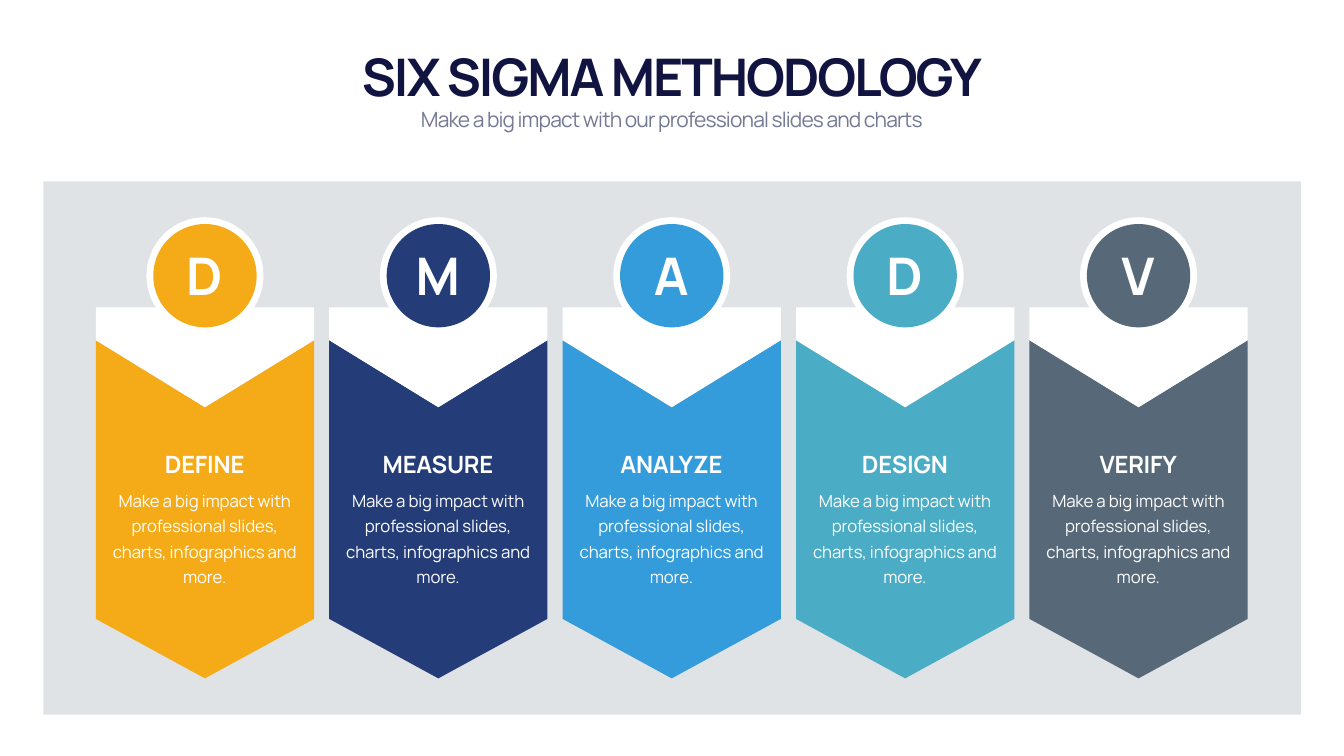
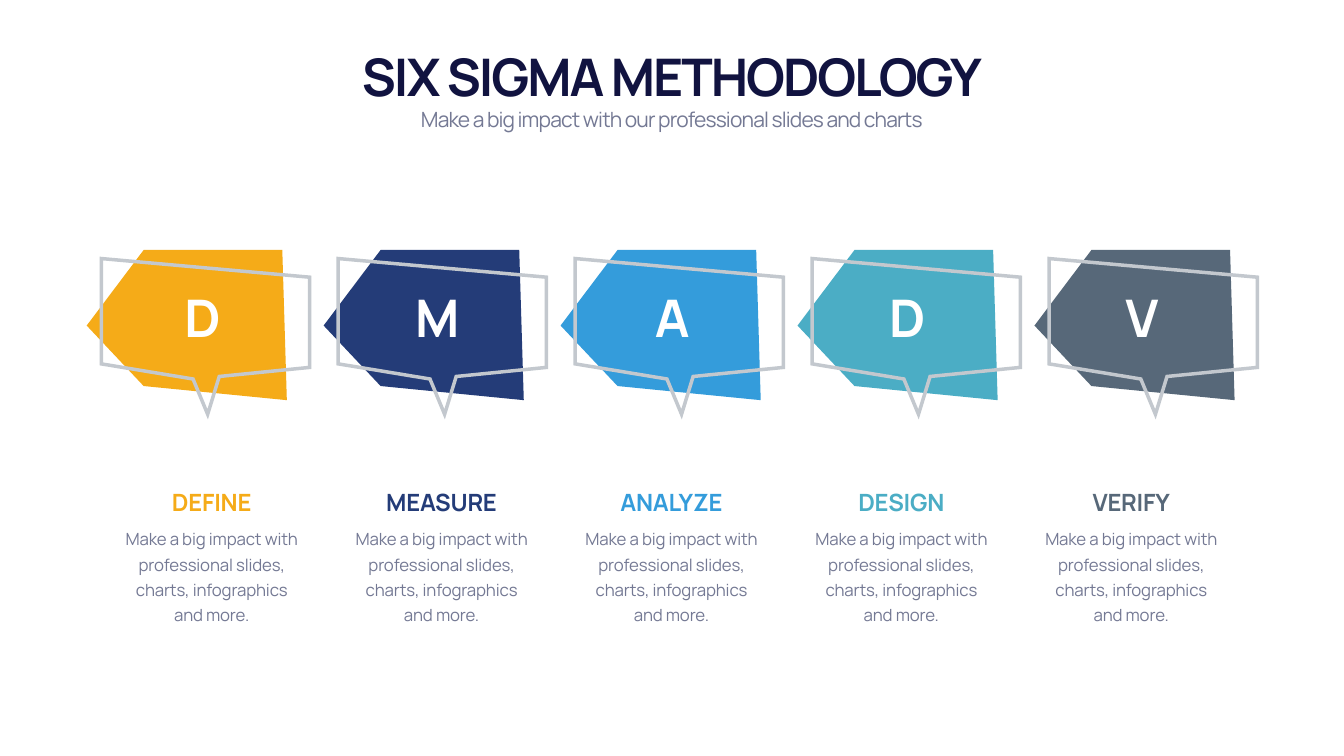
import lxml.etree
import pptx
import pptx.dml.color
import pptx.enum.shapes
import pptx.enum.text
import pptx.oxml.ns
import pptx.util

COLUMNS, ROWS = 26.66, 15
FONT = "Manrope"
COLORS = {
    "title": "111340",
    "muted": "747994",
    "gray": "C3C8CE",
    "white": "FFFFFF",
    "orange": "F5AB18",
    "navy": "243C78",
    "blue": "349CDB",
    "teal": "4BADC5",
    "slate": "576879",
}
STEPS = [
    ("DEFINE", "D", "orange"),
    ("MEASURE", "M", "navy"),
    ("ANALYZE", "A", "blue"),
    ("DESIGN", "D", "teal"),
    ("VERIFY", "V", "slate"),
]
BODY = "Make a big impact with professional slides, charts, infographics and more."

RIBBON = [(0, 0.65), (2.165, 1.98), (4.33, 0.65), (4.33, 6.18), (2.165, 7.36), (0, 6.18)]
NOTCH = [(0, 0), (4.33, 0), (4.33, 0.65), (2.165, 1.98), (0, 0.65)]
TAG = [(1.13, 0), (0, 1.5), (1.13, 2.7), (3.97, 2.98), (3.88, 0)]
CALLOUT = [(0, 0), (0, 2.09), (1.82, 2.39), (2.11, 3.09), (2.34, 2.34), (4.13, 2.16), (4.13, 0.37)]


def rgb(color):
    return pptx.dml.color.RGBColor.from_string(COLORS[color])


def add_element(parent, tag, **attributes):
    return lxml.etree.SubElement(parent, pptx.oxml.ns.qn(tag), attributes)


def write_text(frame, text, size, color, bold=False, spacing=0, leading=None, anchor="TOP"):
    frame.word_wrap = True
    frame.auto_size = pptx.enum.text.MSO_AUTO_SIZE.SHAPE_TO_FIT_TEXT
    frame.vertical_anchor = pptx.enum.text.MSO_ANCHOR[anchor]
    para = frame.paragraphs[0]
    para.alignment = pptx.enum.text.PP_ALIGN.CENTER
    if leading:
        para.line_spacing = pptx.util.Pt(leading)
    span = para.add_run()
    span.text = text
    span.font.name = FONT
    span.font.size = pptx.util.Pt(size)
    span.font.bold = bold
    span.font.color.rgb = rgb(color)
    span.font._element.set("spc", str(round(spacing * 100)))


class Slides:
    def __init__(self):
        self.deck = pptx.Presentation()
        self.deck.slide_width = pptx.util.Inches(COLUMNS)
        self.deck.slide_height = pptx.util.Inches(ROWS)
        self.page = None

    def x(self, columns):
        return round(self.deck.slide_width * columns / COLUMNS)

    def y(self, rows):
        return round(self.deck.slide_height * rows / ROWS)

    def area(self, left, top, width, height):
        return self.x(left), self.y(top), self.x(width), self.y(height)

    def new_page(self):
        self.page = self.deck.slides.add_slide(self.deck.slide_layouts[6])
        self.text("SIX SIGMA METHODOLOGY", 1.66, 0.82, 23.33, 1.35,
                  size=74, color="title", bold=True, spacing=-2.9, anchor="BOTTOM")
        self.text("Make a big impact with our professional slides and charts",
                  1.66, 2.07, 23.33, 0.61, size=30, color="muted", spacing=-1.2)

    def text(self, text, left, top, width, height, **style):
        box = self.page.shapes.add_textbox(*self.area(left, top, width, height))
        write_text(box.text_frame, text, **style)

    def paint(self, shape, fill=None, line=None, line_width=5):
        shape.shadow.inherit = False
        if fill:
            shape.fill.solid()
            shape.fill.fore_color.rgb = rgb(fill)
        else:
            shape.fill.background()
        if line:
            shape.line.color.rgb = rgb(line)
            shape.line.width = pptx.util.Pt(line_width)
            add_element(shape.line._get_or_add_ln(), "a:miter", lim="800000")
        else:
            shape.line.fill.background()

    def panel(self, left, top, width, height, fill, opacity):
        shape = self.page.shapes.add_shape(
            pptx.enum.shapes.MSO_SHAPE.RECTANGLE, *self.area(left, top, width, height))
        self.paint(shape, fill)
        color = shape.fill._xPr.find(".//" + pptx.oxml.ns.qn("a:srgbClr"))
        add_element(color, "a:alpha", val=str(opacity * 1000))

    def circle(self, center_x, center_y, diameter, fill):
        left, top = center_x - diameter / 2, center_y - diameter / 2
        shape = self.page.shapes.add_shape(
            pptx.enum.shapes.MSO_SHAPE.OVAL, *self.area(left, top, diameter, diameter))
        self.paint(shape, fill)

    def outline(self, points, left, top, **style):
        corners = [(self.x(left + x), self.y(top + y)) for x, y in points]
        builder = self.page.shapes.build_freeform(*corners[0])
        builder.add_line_segments(corners[1:], close=True)
        self.paint(builder.convert_to_shape(), **style)

    def letter(self, letter, left, top, width):
        self.text(letter, left, top, width, 1.35, size=74, color="white",
                  bold=True, spacing=-2.9, anchor="MIDDLE")

    def caption(self, heading, left, top, width, body_height, heading_color, body_color):
        self.text(heading, left, top, width, 0.67, size=34, color=heading_color,
                  bold=True, spacing=-0.3, anchor="BOTTOM")
        self.text(BODY, left, top + 0.73, width, body_height, size=24,
                  color=body_color, spacing=-0.2, leading=36)


def add_ribbons(slides):
    slides.new_page()
    slides.panel(0.86, 3.6, 24.95, 10.58, "gray", 50)
    for index, (heading, letter, color) in enumerate(STEPS):
        left = 1.9 + 4.63 * index
        center = left + 2.165
        slides.outline(RIBBON, left, 6.1, fill=color)
        slides.outline(NOTCH, left, 6.1, fill="white")
        slides.circle(center, 5.47, 2.32, "white")
        slides.circle(center, 5.47, 2.05, color)
        slides.letter(letter, center - 0.63, 4.78, 1.24)
        slides.caption(heading, left + 0.13, 8.86, 4.06, 2.1, "white", "white")


def add_callouts(slides):
    slides.new_page()
    for index, (heading, letter, color) in enumerate(STEPS):
        left = 1.72 + 4.7 * index
        slides.outline(TAG, left, 4.96, fill=color)
        slides.outline(CALLOUT, left + 0.29, 5.13, line="gray")
        slides.letter(letter, 2.77 + 4.66 * index, 5.62, 2.49)
        slides.caption(heading, 2.35 + 4.56 * index, 9.62, 3.7, 2.6, color, "muted")


def main():
    slides = Slides()
    add_ribbons(slides)
    add_callouts(slides)
    slides.deck.save("out.pptx")


if __name__ == "__main__":
    main()
